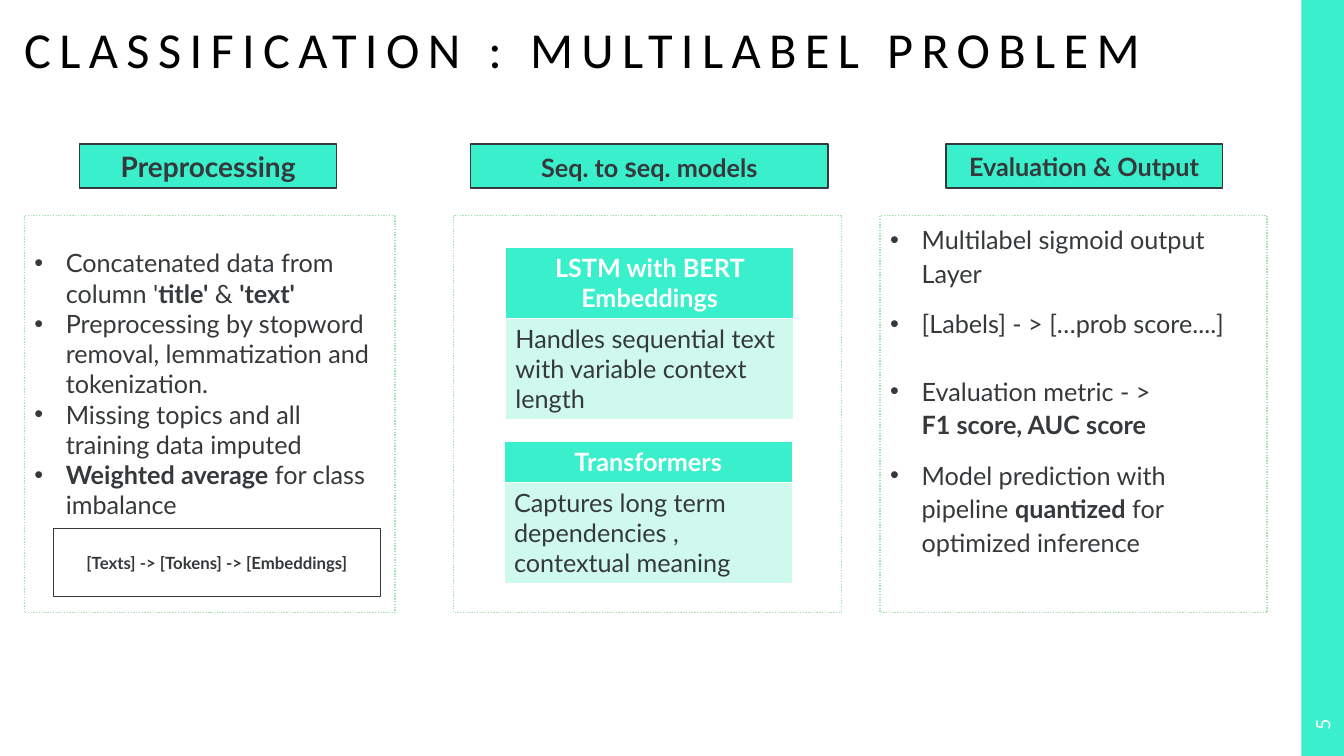
import pptx
import pptx.util
import pptx.dml.color
import pptx.enum.dml
import pptx.enum.shapes
import pptx.enum.text
import pptx.oxml.ns
import lxml.etree

Pt = pptx.util.Pt
ALIGN = pptx.enum.text.PP_ALIGN
ANCHOR = pptx.enum.text.MSO_ANCHOR
RECTANGLE = pptx.enum.shapes.MSO_SHAPE.RECTANGLE
MINT, PALE_MINT, DOTTED_GREEN = "3AEFCC", "CEF9EC", "A1E5B4"
DARK, WHITE, BLACK = "36393B", "FFFFFF", "000000"


def color(hex_value):
    return pptx.dml.color.RGBColor.from_string(hex_value)


def write_runs(paragraph, pieces, text_color=DARK):
    for text, bold, size in pieces:
        if text == "\v":
            paragraph.add_line_break()
            continue
        run = paragraph.add_run()
        run.text = text
        run.font.name = "Lato"
        run.font.size = Pt(size)
        run.font.bold = bold
        run.font.color.rgb = color(text_color)


presentation = pptx.Presentation()
presentation.slide_width = Pt(960)
presentation.slide_height = Pt(540)
slide = presentation.slides.add_slide(presentation.slide_layouts[3])
title, preprocessing_list, evaluation_list = slide.placeholders

title.left, title.top, title.width, title.height = Pt(17.3), Pt(9.4), Pt(952), Pt(47.5)
frame = title.text_frame
frame.text = "CLASSIFICATION : MULTILABEL PROBLEM"
frame.auto_size = pptx.enum.text.MSO_AUTO_SIZE.NONE
frame.vertical_anchor = ANCHOR.BOTTOM
frame.margin_left = frame.margin_right = frame.margin_top = frame.margin_bottom = 0
paragraph = frame.paragraphs[0]
paragraph.alignment = ALIGN.LEFT
paragraph.line_spacing = 0.9
run = paragraph.runs[0]
run.font.name = "Calibri"
run.font.size = Pt(36)
run.font.color.rgb = color(BLACK)
run.font._element.set("spc", "600")

preprocessing_items = [
    [("Concatenated data from column '", False, 18), ("title'", True, 18),
     (" & ", False, 18), ("'text'", True, 18)],
    [("Preprocessing by stopword removal, lemmatization and tokenization.", False, 18)],
    [("Missing topics and all training data imputed", False, 18)],
    [("Weighted average", True, 18), (" for class imbalance", False, 18)],
]
evaluation_items = [
    [("Multilabel sigmoid output", False, 18), ("\v", False, 18), ("Layer", False, 18)],
    [("[Labels] - > […prob score....]", False, 18)],
    [("Evaluation metric - >", False, 18), ("\v", False, 18),
     ("F1 score, AUC score", True, 18)],
    [("Model prediction with", False, 18), ("\v", False, 18), ("pipeline ", False, 18),
     ("quantized", True, 18), (" for", False, 18), ("\v", False, 18),
     ("optimized inference", False, 18)],
]
lists = [
    (preprocessing_list, 17.3, 265, 23, 1.0, [0, 0, 0, 0], preprocessing_items),
    (evaluation_list, 628.6, 276.5, 4, Pt(24), [0, 12, 24, 12], evaluation_items),
]
model_panel = slide.shapes.add_shape(RECTANGLE, Pt(324), Pt(154), Pt(277.2), Pt(283.7))
model_panel.shadow.inherit = False

for shape, left, width, top_margin, line_spacing, gaps, items in lists:
    shape.left, shape.top, shape.width, shape.height = Pt(left), Pt(154), Pt(width), Pt(283.7)
    frame = shape.text_frame
    frame.auto_size = pptx.enum.text.MSO_AUTO_SIZE.NONE
    frame.vertical_anchor = ANCHOR.TOP
    frame.margin_top = Pt(top_margin)
    for index, (gap, pieces) in enumerate(zip(gaps, items)):
        paragraph = frame.paragraphs[0] if index == 0 else frame.add_paragraph()
        paragraph.line_spacing = line_spacing
        paragraph.space_before = Pt(gap)
        properties = paragraph._p.get_or_add_pPr()
        properties.set("marL", str(Pt(22.5)))
        properties.set("indent", str(-Pt(22.5)))
        bullet = lxml.etree.SubElement(properties, pptx.oxml.ns.qn("a:buChar"))
        bullet.set("char", "•")
        write_runs(paragraph, pieces)

for panel in (preprocessing_list, model_panel, evaluation_list):
    panel.fill.solid()
    panel.fill.fore_color.rgb = color(WHITE)
    panel.line.color.rgb = color(DOTTED_GREEN)
    panel.line.width = Pt(1)
    panel.line.dash_style = pptx.enum.dml.MSO_LINE.ROUND_DOT

side_bar = slide.shapes.add_shape(RECTANGLE, Pt(929.5), 0, Pt(30.5), Pt(540))
side_bar.shadow.inherit = False
side_bar.fill.solid()
side_bar.fill.fore_color.rgb = color(MINT)
side_bar.line.fill.background()

page_number = slide.shapes.add_textbox(Pt(922.3), Pt(502.5), Pt(44.6), Pt(30.2))
page_number.rotation = 270
page_number.text_frame.word_wrap = True
page_number.text_frame.vertical_anchor = ANCHOR.MIDDLE
page_number.text_frame.paragraphs[0].alignment = ALIGN.CENTER
write_runs(page_number.text_frame.paragraphs[0], [("5", False, 14)], WHITE)

boxes = [
    (56.9, 103, 183.6, 31.4, MINT, [("Preprocessing", True, 20)]),
    (336.2, 103, 255.2, 31.4, MINT,
     [("Seq. to ", True, 18), ("s", True, 20), ("eq. models", True, 18)]),
    (675.6, 103, 197.6, 31.4, MINT, [("Evaluation & Output", True, 18)]),
    (38.2, 377.5, 233.5, 48.5, WHITE, [("[Texts] -> [Tokens] -> [Embeddings]", True, 12)]),
]
for left, top, width, height, fill_color, pieces in boxes:
    box = slide.shapes.add_shape(RECTANGLE, Pt(left), Pt(top), Pt(width), Pt(height))
    box.shadow.inherit = False
    box.fill.solid()
    box.fill.fore_color.rgb = color(fill_color)
    box.line.color.rgb = color(DARK)
    box.line.width = Pt(1)
    box.text_frame.vertical_anchor = ANCHOR.MIDDLE
    box.text_frame.paragraphs[0].alignment = ALIGN.CENTER
    write_runs(box.text_frame.paragraphs[0], pieces)

models = [
    (361, 177, [50, 72.4], "LSTM with BERT Embeddings",
     "Handles sequential text with variable context length"),
    (360, 315.4, [29.2, 72.4], "Transformers",
     "Captures long term dependencies , contextual meaning"),
]
for left, top, heights, name, description in models:
    table = slide.shapes.add_table(
        2, 1, Pt(left), Pt(top), Pt(206), Pt(sum(heights))).table
    table.horz_banding = False
    rows = [(name, True, WHITE, MINT, ALIGN.CENTER),
            (description, False, DARK, PALE_MINT, ALIGN.LEFT)]
    for index, (text, bold, text_color, fill_color, alignment) in enumerate(rows):
        table.rows[index].height = Pt(heights[index])
        cell = table.cell(index, 0)
        cell.fill.solid()
        cell.fill.fore_color.rgb = color(fill_color)
        paragraph = cell.text_frame.paragraphs[0]
        paragraph.alignment = alignment
        write_runs(paragraph, [(text, bold, 18)], text_color)

presentation.save("out.pptx")
